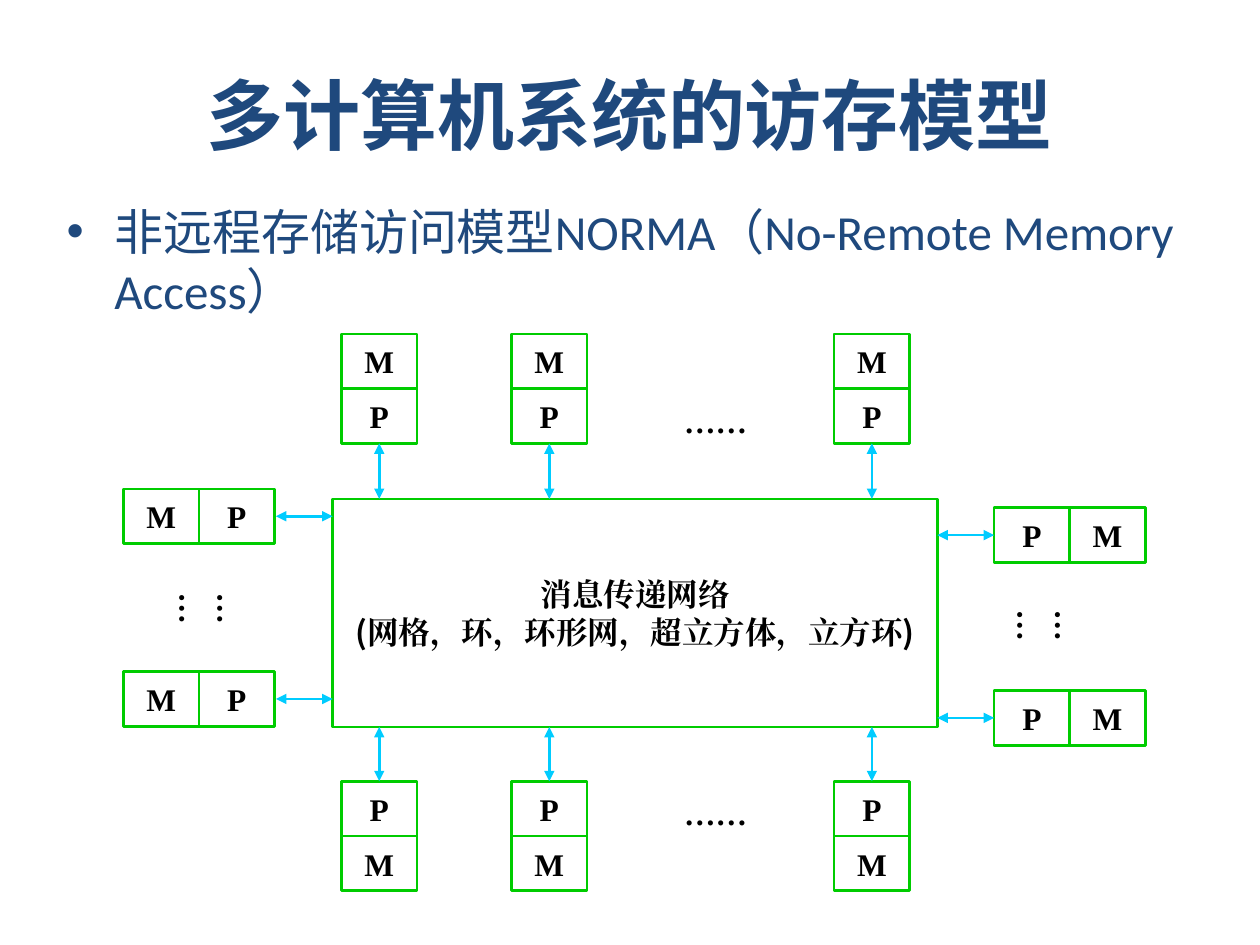
from lxml import etree
from pptx import Presentation
from pptx.dml.color import RGBColor
from pptx.enum.shapes import MSO_CONNECTOR, MSO_SHAPE
from pptx.enum.text import MSO_ANCHOR, PP_ALIGN
from pptx.oxml.ns import qn
from pptx.util import Inches, Pt

RECTANGLE = MSO_SHAPE.RECTANGLE
STRAIGHT = MSO_CONNECTOR.STRAIGHT
MIDDLE, TOP = MSO_ANCHOR.MIDDLE, MSO_ANCHOR.TOP
CENTER, LEFT = PP_ALIGN.CENTER, PP_ALIGN.LEFT
NAVY, BLACK, GREEN, CYAN = "1F497D", "000000", "00CC00", "00CCFF"
SERIF, SANS, CHINESE = "Times New Roman", "Calibri", "Noto Sans CJK SC"


def color(value):
    return RGBColor.from_string(value)


def write(shape, text, size=18, font=SERIF, ink=BLACK, bold=True,
          align=CENTER, anchor=MIDDLE, wrap=True, bullet=None):
    frame = shape.text_frame
    frame.word_wrap = wrap
    frame.vertical_anchor = anchor
    paragraph = frame.paragraphs[0]
    if paragraph.runs:
        paragraph = frame.add_paragraph()
    paragraph.alignment = align
    if bullet:
        properties = paragraph._p.get_or_add_pPr()
        properties.set("marL", str(Inches(0.38)))
        properties.set("indent", str(Inches(-0.38)))
        etree.SubElement(properties, qn("a:buFont")).set("typeface", "Arial")
        etree.SubElement(properties, qn("a:buChar")).set("char", bullet)
    run = paragraph.add_run()
    run.text = text
    run.font.size = Pt(size)
    run.font.name = font
    run.font.bold = bold
    run.font.color.rgb = color(ink)
    east_asian = SERIF if font == CHINESE else font
    etree.SubElement(run._r.get_or_add_rPr(), qn("a:ea")).set("typeface", east_asian)


deck = Presentation()
deck.slide_width, deck.slide_height = Inches(10), Inches(7.5)
slide = deck.slides.add_slide(deck.slide_layouts[6])
shapes = slide.shapes

title = shapes.add_textbox(Inches(0.75), Inches(0.28), Inches(8.5), Inches(1.25))
write(title, "多计算机系统的访存模型", size=44, font=SANS, ink=NAVY)

body = shapes.add_textbox(Inches(0.43), Inches(1.55), Inches(9.21), Inches(5.95))
write(body, "非远程存储访问模型NORMA（No-Remote Memory Access）", size=28, font=SANS,
      ink=NAVY, bold=False, align=LEFT, anchor=TOP, bullet="•")

cell_width, cell_height = 0.6, 0.435
net_left, net_top, net_right, net_bottom = 2.64, 3.96, 7.44, 5.77
boxes = [(net_left, net_top, net_right - net_left, net_bottom - net_top, "")]
links = []

for left in (2.71, 4.06, 6.62):
    middle = left + cell_width / 2
    for labels, top, start, end in (("MP", 2.65, 3.52, net_top),
                                    ("PM", 6.2, net_bottom, 6.2)):
        for row, label in enumerate(labels):
            boxes.append((left, top + row * cell_height, cell_width, cell_height, label))
        links.append((middle, start, middle, end))

for labels, left, tops, start, end in (("MP", 0.98, (3.88, 5.33), 2.19, net_left),
                                       ("PM", 7.89, (4.03, 5.48), net_right, 7.89)):
    for top in tops:
        middle = top + cell_height / 2
        for column, label in enumerate(labels):
            boxes.append((left + column * cell_width, top, cell_width, cell_height, label))
        links.append((start, middle, end, middle))

for left, top, width, height, label in boxes:
    box = shapes.add_shape(RECTANGLE, Inches(left), Inches(top),
                           Inches(width), Inches(height))
    box.shadow.inherit = False
    box.fill.background()
    box.line.color.rgb = color(GREEN)
    box.line.width = Pt(1.5)
    if label:
        write(box, label)
    else:
        write(box, "消息传递网络", wrap=False)
        write(box, "(网格，环，环形网，超立方体，立方环)", font=CHINESE, wrap=False)

for x1, y1, x2, y2 in links:
    link = shapes.add_connector(STRAIGHT, Inches(x1), Inches(y1), Inches(x2), Inches(y2))
    link.line.color.rgb = color(CYAN)
    link.line.width = Pt(1.5)
    outline = link.line._get_or_add_ln()
    for end in ("a:headEnd", "a:tailEnd"):
        etree.SubElement(outline, qn(end)).set("type", "triangle")
    etree.SubElement(link._element.spPr, qn("a:effectLst"))

for left, top, width, height, angle in ((5.19, 3.16, 0.98, 0.36, 0),
                                        (5.19, 6.27, 0.98, 0.36, 0),
                                        (1.22, 4.64, 0.58, 0.38, 270),
                                        (7.87, 4.78, 0.58, 0.38, 270)):
    ellipsis = shapes.add_textbox(Inches(left), Inches(top), Inches(width), Inches(height))
    ellipsis.rotation = angle
    write(ellipsis, "……")

deck.save("out.pptx")
